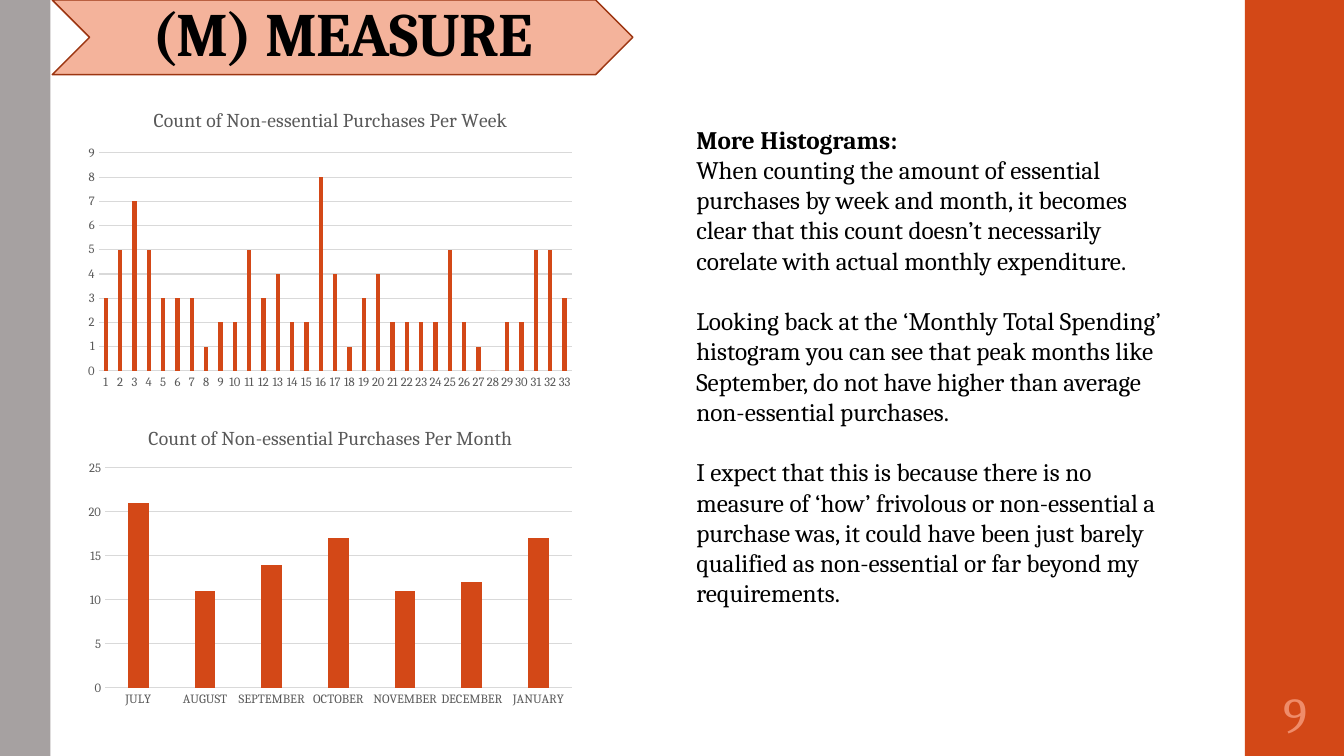
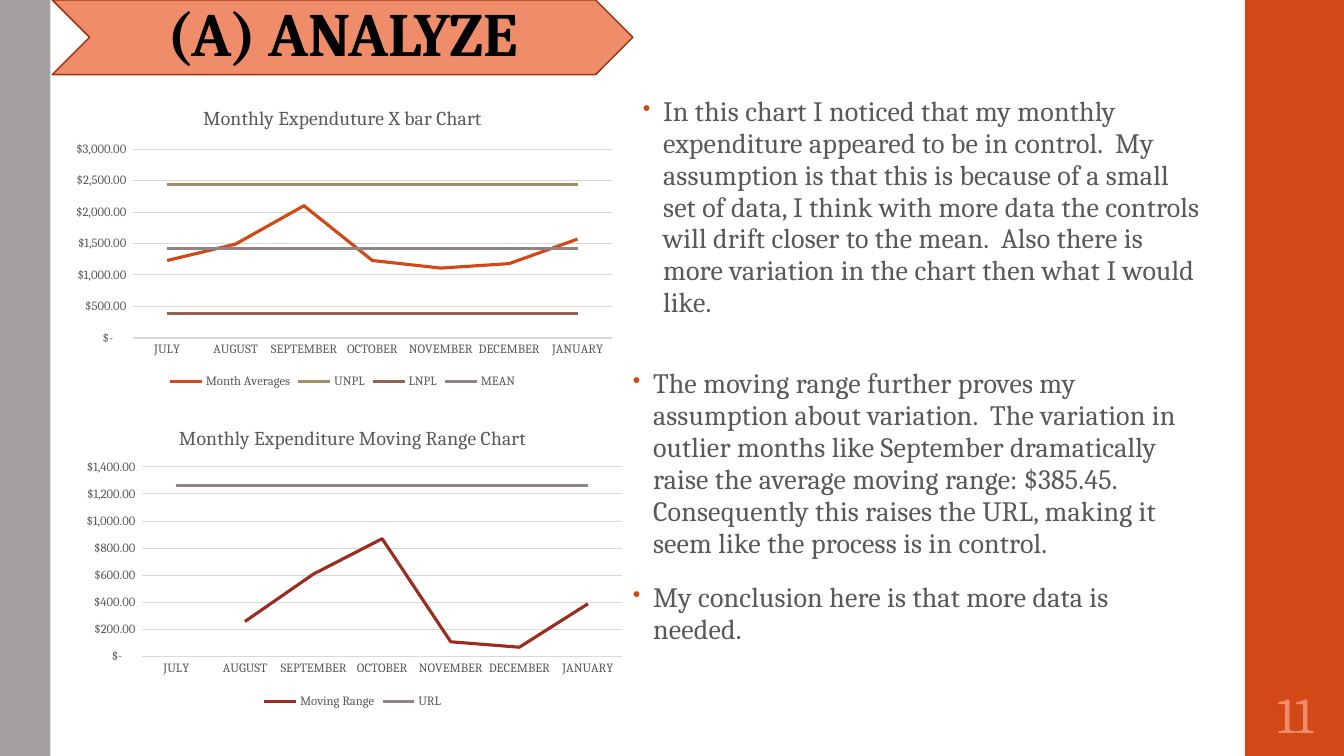
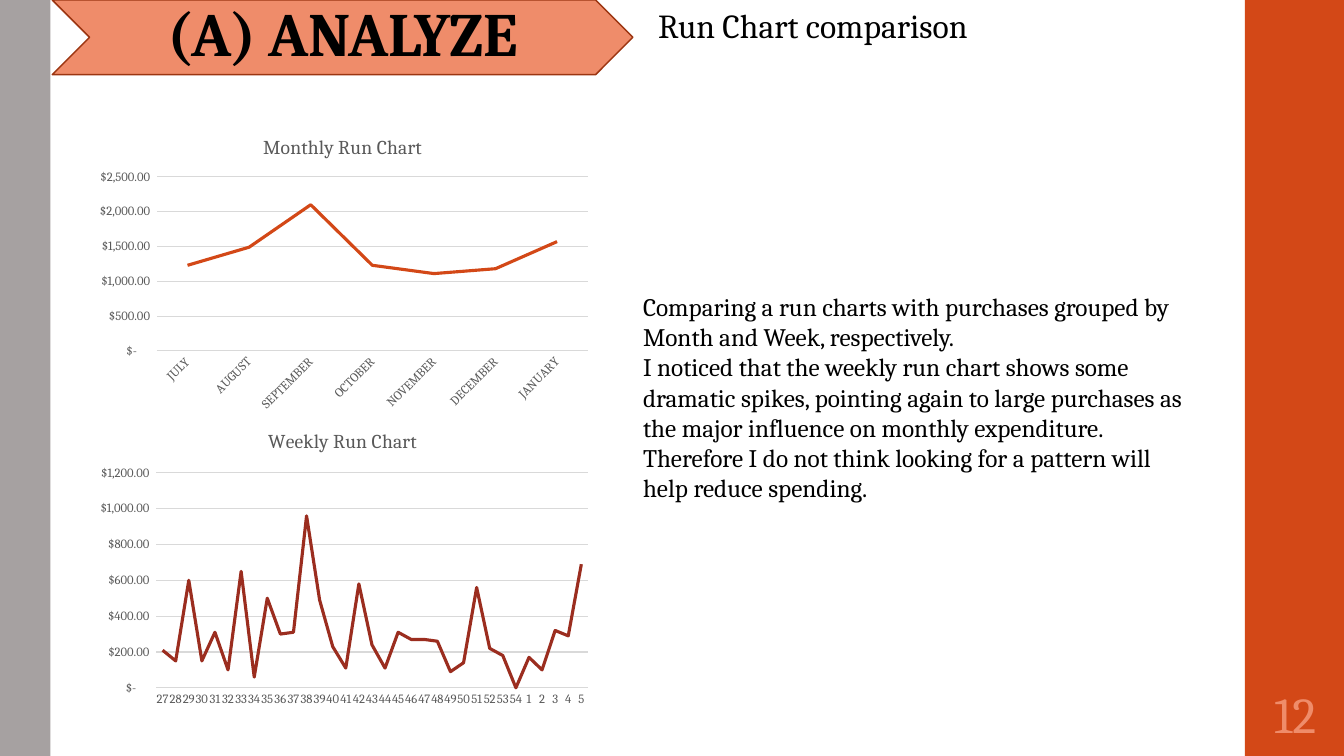
from lxml.etree import SubElement
from pptx import Presentation
from pptx.chart.data import CategoryChartData
from pptx.dml.color import RGBColor
from pptx.enum.chart import XL_CHART_TYPE as ChartType
from pptx.enum.chart import XL_LEGEND_POSITION as LegendPosition
from pptx.enum.chart import XL_TICK_MARK as TickMark
from pptx.enum.shapes import MSO_SHAPE as ShapeType
from pptx.enum.text import MSO_ANCHOR as Anchor
from pptx.enum.text import PP_ALIGN as Align
from pptx.oxml.ns import qn
from pptx.util import Pt

FONT = "Cambria"
BLACK = "000000"
GRAY = "595959"
GRID = "D9D9D9"
ORANGE = "D34817"
LIGHT_ORANGE = "EF8C6A"
PALE_ORANGE = "F4B39B"
DARK_ORANGE = "9C3511"
BAND_GRAY = "A6A1A1"
RED = "9B2D1F"
TAN = "A28E6A"
BROWN = "956251"
MAUVE = "918485"

DOLLARS = '_("$"* #,##0.00_);_("$"* \\(#,##0.00\\);_("$"* "-"??_);_(@_)'
MONTHS = ["JULY", "AUGUST", "SEPTEMBER", "OCTOBER", "NOVEMBER", "DECEMBER", "JANUARY"]
MONTHLY_SPENDING = [1230, 1490, 2100, 1230, 1110, 1180, 1570]
WEEKLY_SPENDING = [210, 150, 600, 150, 310, 100, 650, 60, 500, 300, 310, 960, 490, 230, 110, 580, 240,
                   110, 310, 270, 270, 260, 90, 140, 560, 220, 180, 0, 170, 100, 320, 290, 690]
MONTHLY_COUNTS = [21, 11, 14, 17, 11, 12, 17]
WEEKLY_COUNTS = [3, 5, 7, 5, 3, 3, 3, 1, 2, 2, 5, 3, 4, 2, 2, 8, 4,
                 1, 3, 4, 2, 2, 2, 2, 5, 2, 1, 0, 2, 2, 5, 5, 3]


def rgb(color):
    """Turn a hex string into a colour."""
    return RGBColor.from_string(color)


def points(box):
    """Turn left, top, width and height into lengths."""
    return [Pt(value) for value in box]


def set_font(font, size, color, bold=False):
    """Apply the deck's font in a size and colour."""
    font.name = FONT
    font.size = Pt(size)
    font.bold = bold
    font.color.rgb = rgb(color)


def add_paragraph(shape, text, size=18, color=BLACK, bold=False, align=Align.LEFT,
                  line_spacing=1, before=0, after=0, tracking=0, bullet=False):
    """Write one formatted paragraph into a shape."""
    frame = shape.text_frame
    paragraph = frame.paragraphs[0] if not frame.text else frame.add_paragraph()
    paragraph.alignment = align
    paragraph.line_spacing = line_spacing
    paragraph.space_before = Pt(before)
    paragraph.space_after = Pt(after)
    run = paragraph.add_run()
    run.text = text
    set_font(run.font, size, color, bold)
    run.font._element.set("spc", str(round(tracking * 100)))
    if bullet:
        add_bullet(paragraph)


def add_bullet(paragraph):
    """Give a paragraph a hanging orange bullet."""
    properties = paragraph._p.get_or_add_pPr()
    properties.set("marL", str(Pt(14.4)))
    properties.set("indent", str(-Pt(14.4)))
    color = SubElement(properties, qn("a:buClr"))
    SubElement(color, qn("a:srgbClr")).set("val", ORANGE)
    SubElement(properties, qn("a:buSzPct")).set("val", "80000")
    SubElement(properties, qn("a:buChar")).set("char", "•")


def add_bullet_item(shape, text):
    """Write one bulleted remark."""
    add_paragraph(shape, text, size=20, color=GRAY, line_spacing=0.95,
                  before=14, after=2, tracking=0.1, bullet=True)


def set_insets(frame, left, top, right, bottom):
    """Centre text vertically inside the given margins."""
    frame.vertical_anchor = Anchor.MIDDLE
    frame.margin_left, frame.margin_top = Pt(left), Pt(top)
    frame.margin_right, frame.margin_bottom = Pt(right), Pt(bottom)


def add_box(slide, box):
    """Add a wrapping text box."""
    shape = slide.shapes.add_textbox(*points(box))
    shape.text_frame.word_wrap = True
    return shape


def add_filled_shape(slide, kind, box, fill, line=None):
    """Add a flat preset shape."""
    shape = slide.shapes.add_shape(kind, *points(box))
    shape.shadow.inherit = False
    shape.fill.solid()
    shape.fill.fore_color.rgb = rgb(fill)
    if line:
        shape.line.color.rgb = rgb(line)
        shape.line.width = Pt(1.1)
    else:
        shape.line.fill.background()
    return shape


def add_slide(presentation, title, number, title_fill):
    """Add a slide with its side bands, chevron title and number."""
    slide = presentation.slides.add_slide(presentation.slide_layouts[6])
    add_filled_shape(slide, ShapeType.RECTANGLE, (889.2, 0, 70.8, 540), ORANGE)
    add_filled_shape(slide, ShapeType.RECTANGLE, (0, 0, 36, 540), BAND_GRAY)
    chevron = add_filled_shape(slide, ShapeType.CHEVRON, (37.4, 0, 414.7, 53.3), title_fill, DARK_ORANGE)
    set_insets(chevron.text_frame, 7.2, 2.2, 7.2, 3.6)
    add_paragraph(chevron, title, size=44, bold=True, align=Align.CENTER, line_spacing=0.9, tracking=-0.5)
    number_box = add_box(slide, (889.2, 486, 72, 46.8))
    set_insets(number_box.text_frame, 3.6, 3.6, 3.6, 3.6)
    add_paragraph(number_box, str(number), size=36, color=LIGHT_ORANGE, align=Align.CENTER)
    return slide


def place_plot(chart, box, plot):
    """Pin the inner plot area, given in slide points."""
    left, top, width, height = box
    fractions = {"x": (plot[0] - left) / width, "y": (plot[1] - top) / height,
                 "w": plot[2] / width, "h": plot[3] / height}
    area = chart._chartSpace.chart.plotArea
    for old in area.findall(qn("c:layout")):
        area.remove(old)
    layout = SubElement(area, qn("c:layout"))
    area.insert(0, layout)
    manual = SubElement(layout, qn("c:manualLayout"))
    SubElement(manual, qn("c:layoutTarget")).set("val", "inner")
    for name in ("xMode", "yMode"):
        SubElement(manual, qn(f"c:{name}")).set("val", "edge")
    for name, fraction in fractions.items():
        SubElement(manual, qn(f"c:{name}")).set("val", f"{fraction:.4f}")


def style_axes(chart, maximum, step, number_format, slanted):
    """Format both axes and the gridlines."""
    category, value = chart.category_axis, chart.value_axis
    for axis in (category, value):
        axis.major_tick_mark = axis.minor_tick_mark = TickMark.NONE
        set_font(axis.tick_labels.font, 9, GRAY)
    category.format.line.color.rgb = rgb(GRID)
    category.format.line.width = Pt(0.75)
    body = category._element.find(qn("c:txPr")).find(qn("a:bodyPr"))
    body.set("rot", "-2700000" if slanted else "-60000000")
    body.set("vert", "horz")
    skip = SubElement(category._element, qn("c:tickLblSkip"))
    skip.set("val", "1")
    category._element.find(qn("c:noMultiLvlLbl")).addprevious(skip)
    value.minimum_scale, value.maximum_scale, value.major_unit = 0, maximum, step
    value.format.line.fill.background()
    value.has_major_gridlines = True
    value.major_gridlines.format.line.color.rgb = rgb(GRID)
    value.major_gridlines.format.line.width = Pt(0.75)
    value.tick_labels.number_format = number_format
    value.tick_labels.number_format_is_linked = False


def add_chart(slide, kind, box, plot, title, categories, series, maximum, step,
              number_format="General", slanted=False):
    """Add a titled chart from (name, values, colour) series."""
    data = CategoryChartData()
    data.categories = categories
    for name, values, _ in series:
        data.add_series(name, values)
    chart = slide.shapes.add_chart(kind, *points(box), data).chart
    set_font(chart.font, 10, BLACK)
    chart.has_title = True
    chart.chart_title.include_in_layout = False
    chart.chart_title.text_frame.text = title
    set_font(chart.chart_title.text_frame.paragraphs[0].runs[0].font, 14, GRAY)
    chart.has_legend = len(series) > 1
    if chart.has_legend:
        chart.legend.position = LegendPosition.BOTTOM
        chart.legend.include_in_layout = False
        set_font(chart.legend.font, 9, GRAY)
    chart.plots[0].vary_by_categories = False
    style_axes(chart, maximum, step, number_format, slanted)
    place_plot(chart, box, plot)
    for drawn, (_, _, color) in zip(chart.plots[0].series, series):
        if kind == ChartType.LINE:
            drawn.smooth = False
            drawn.format.line.color.rgb = rgb(color)
            drawn.format.line.width = Pt(2.25)
        else:
            drawn.format.fill.solid()
            drawn.format.fill.fore_color.rgb = rgb(color)
    return chart


def add_bar_chart(slide, *arguments):
    """Add a column chart of counts."""
    chart = add_chart(slide, ChartType.COLUMN_CLUSTERED, *arguments)
    chart.plots[0].gap_width = 219
    return chart


def add_line_chart(slide, *arguments, slanted=False):
    """Add a line chart of dollar amounts."""
    return add_chart(slide, ChartType.LINE, *arguments, number_format=DOLLARS, slanted=slanted)


def level(value):
    """Repeat a control limit for every month."""
    return [value] * len(MONTHS)


def build_measure(presentation):
    """Build the histogram slide."""
    slide = add_slide(presentation, "(M) MEASURE", 9, PALE_ORANGE)
    add_bar_chart(slide, (56.2, 293, 360, 216), (75, 334.3, 333.5, 157.1),
                  "Count of Non-essential Purchases Per Month", MONTHS,
                  [("Series 1", MONTHLY_COUNTS, ORANGE)], 25, 5)
    weekly = add_bar_chart(slide, (56.2, 66.2, 360, 216), (70.5, 109.3, 338, 155.7),
                           "Count of Non-essential Purchases Per Week",
                           [str(week) for week in range(1, 34)],
                           [("Series 1", WEEKLY_COUNTS, ORANGE)], 9, 1)
    weekly.plots[0].overlap = -27
    box = add_box(slide, (490.3, 85, 360, 399.6))
    add_paragraph(box, "More Histograms:", bold=True)
    add_paragraph(box, "When counting the amount of essential purchases by week and month, it becomes clear "
                  "that this count doesn’t necessarily corelate with actual monthly expenditure.")
    add_paragraph(box, "Looking back at the ‘Monthly Total Spending’ histogram you can see that peak months "
                  "like September, do not have higher than average non-essential purchases.", before=21.6)
    add_paragraph(box, "I expect that this is because there is no measure of ‘how’ frivolous or non-essential "
                  "a purchase was, it could have been just barely qualified as non-essential or far beyond "
                  "my requirements.", before=21.6)


def build_control_charts(presentation):
    """Build the X bar and moving range slide."""
    slide = add_slide(presentation, "(A) ANALYZE", 11, LIGHT_ORANGE)
    add_line_chart(slide, (51.8, 293, 400.3, 216), (101.5, 333.5, 343, 135.7),
                   "Monthly Expenditure Moving Range Chart", MONTHS,
                   [("Moving Range", [None, 260, 610, 870, 110, 70, 390], RED),
                    ("URL", level(1260), MAUVE)], 1400, 200)
    add_line_chart(slide, (44.6, 64.8, 400.3, 216), (95, 106.5, 342, 135),
                   "Monthly Expenduture X bar Chart", MONTHS,
                   [("Month Averages", MONTHLY_SPENDING, ORANGE), ("UNPL", level(2440), TAN),
                    ("LNPL", level(390), BROWN), ("MEAN", level(1420), MAUVE)], 3000, 500)
    control = add_box(slide, (452.2, 64.8, 414.7, 182.2))
    add_bullet_item(control, "In this chart I noticed that my monthly expenditure appeared to be in control.  "
                    "My assumption is that this is because of a small set of data, I think with more data "
                    "the controls will drift closer to the mean.  Also there is more variation in the chart "
                    "then what I would like.")
    moving_range = add_box(slide, (445, 259.2, 414.7, 252))
    add_bullet_item(moving_range, "The moving range further proves my assumption about variation.  The variation "
                    "in outlier months like September dramatically raise the average moving range: $385.45.  "
                    "Consequently this raises the URL, making it seem like the process is in control.")
    add_bullet_item(moving_range, "My conclusion here is that more data is needed.")


def build_run_charts(presentation):
    """Build the run chart comparison slide."""
    slide = add_slide(presentation, "(A) ANALYZE", 12, LIGHT_ORANGE)
    add_paragraph(add_box(slide, (463, 0, 414.7, 36)), "Run Chart comparison", size=24)
    weeks = [str(week) for week in (*range(27, 55), *range(1, 6))]
    add_line_chart(slide, (62.6, 295.2, 364.3, 213.8), (111.5, 337.8, 308.5, 153.6),
                   "Weekly Run Chart", weeks, [("Series 1", WEEKLY_SPENDING, RED)], 1200, 200)
    add_line_chart(slide, (62.6, 85, 364.3, 213.8), (112, 126.4, 308, 124.3),
                   "Monthly Run Chart", MONTHS, [("Series 1", MONTHLY_SPENDING, ORANGE)], 2500, 500,
                   slanted=True)
    box = add_box(slide, (452.2, 204.5, 403.9, 203.8))
    add_paragraph(box, "Comparing a run charts with purchases grouped by Month and Week, respectively.")
    add_paragraph(box, "I noticed that the weekly run chart shows some dramatic spikes, pointing again to large "
                  "purchases as the major influence on monthly expenditure. Therefore I do not think looking "
                  "for a pattern will help reduce spending.")


def main():
    """Build and save the presentation."""
    presentation = Presentation()
    presentation.slide_width, presentation.slide_height = Pt(960), Pt(540)
    build_measure(presentation)
    build_control_charts(presentation)
    build_run_charts(presentation)
    presentation.save("out.pptx")


if __name__ == "__main__":
    main()
